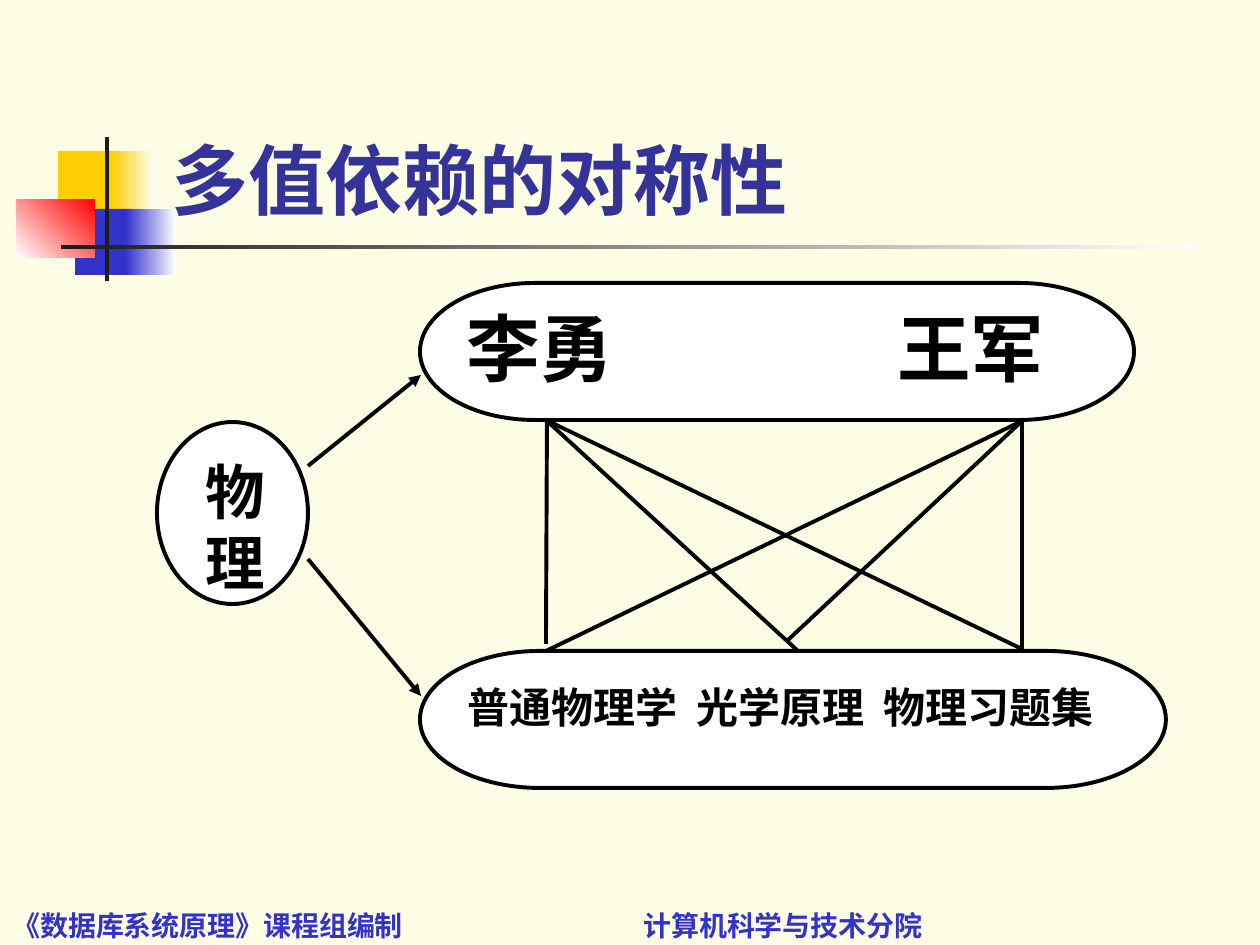
"""Build a slide on the symmetry of multivalued dependency."""
from lxml.etree import SubElement
from pptx import Presentation
from pptx.dml.color import RGBColor
from pptx.enum.shapes import MSO_CONNECTOR as CONN, MSO_SHAPE as SHAPE
from pptx.enum.text import MSO_ANCHOR as ANCHOR, MSO_AUTO_SIZE as AUTO, PP_ALIGN as ALIGN
from pptx.oxml.ns import qn
from pptx.util import Emu, Inches, Pt

rgb = RGBColor.from_string


def px(*values):
    return [Emu(round(v * Inches(1) / 126)) for v in values]


def write(tf, lines, color, fmt, frame, align=ALIGN.LEFT, tabs=(), indent=0):
    for name, value in frame.items():
        setattr(tf, name, value)
    for i, line in enumerate(lines):
        p = tf.add_paragraph() if i else tf.paragraphs[0]
        p.alignment = align
        pPr = p._p.get_or_add_pPr()
        if indent:
            pPr.set("marL", str(px(indent)[0]))
        if tabs:
            lst = SubElement(pPr, qn("a:tabLst"))
            for pos in px(*tabs):
                SubElement(lst, qn("a:tab"), pos=str(pos), algn="l")
        r = p.add_run()
        r.text = line
        for name, value in fmt.items():
            setattr(r.font, name, value)
        r.font.color.rgb = rgb(color)
        SubElement(r._r.get_or_add_rPr(), qn("a:ea"), typeface="Noto Sans CJK SC")


prs = Presentation()
prs.slide_width, prs.slide_height = px(1260, 945)
s = prs.slides.add_slide(prs.slide_layouts[5])
s.background.fill.solid()
s.background.fill.fore_color.rgb = rgb("FEFEE6")

decor = [
    ((58, 151, 60, 66), ["FFCF01"], 0),
    ((111, 151, 45, 66), ["FFCF01", "FFFFFF"], 0),
    ((75, 209, 58, 66), ["3333CC"], 0),
    ((126, 209, 50, 66), ["3333CC", "FFFFFF"], 0),
    ((17, 199, 78, 59), ["FFFFFF", "FF0000"], 45),
    ((105, 137, 4, 144), ["1C1C1C"], 0),
    ((61, 245, 1134, 4), ["1C1C1C", "FFFFFF"], 0),
]
for box, colors, angle in decor:
    sp = s.shapes.add_shape(SHAPE.RECTANGLE, *px(*box))
    sp.shadow.inherit = False
    sp.line.fill.background()
    if len(colors) == 1:
        sp.fill.solid()
        sp.fill.fore_color.rgb = rgb(colors[0])
    else:
        sp.fill.gradient()
        sp.fill.gradient_angle = angle
        for stop, color in zip(sp.fill.gradient_stops, colors):
            stop.color.rgb = rgb(color)

frame = {"word_wrap": True, "auto_size": AUTO.NONE, "vertical_anchor": ANCHOR.BOTTOM}
title = s.shapes.title
title.left, title.top, title.width, title.height = px(159, 29, 1073, 202)
write(title.text_frame, ["多值依赖的对称性"], "333399",
      {"size": Pt(44), "name": "Cabin", "bold": True}, frame)

footer = s.shapes.add_textbox(*px(0, 918, 1260, 30))
write(footer.text_frame, ["《数据库系统原理》课程组编制\t计算机科学与技术分院"], "3333CC",
      {"size": Pt(16), "name": "Noto Sans CJK SC", "bold": True}, frame, tabs=[631])

nodes = [
    (SHAPE.OVAL, (157, 422, 151, 182), ["物", "理"], 34, 6, [], 14),
    (SHAPE.FLOWCHART_TERMINATOR, (420, 651, 746, 137),
     ["普通物理学\t光学原理\t物理习题集"], 24, 10, [229, 416], 0),
    (SHAPE.FLOWCHART_TERMINATOR, (420, 283, 714, 137), ["李勇\t王军"], 42, 0, [431], 0),
]
for kind, box, lines, size, top, tabs, indent in nodes:
    sp = s.shapes.add_shape(kind, *px(*box))
    sp.shadow.inherit = False
    sp.fill.solid()
    sp.fill.fore_color.rgb = rgb("FFFFFF")
    sp.line.color.rgb = rgb("000000")
    sp.line.width = Pt(2.25)
    write(sp.text_frame, lines, "000000",
          {"size": Pt(size), "name": "Times New Roman", "bold": True},
          {**frame, "vertical_anchor": ANCHOR.TOP, "margin_top": px(top)[0]},
          ALIGN.JUSTIFY, tabs, indent)

links = [
    (308, 466, 421, 375, True),
    (308, 559, 421, 696, True),
    (547, 420, 546, 644, False),
    (546, 420, 798, 651, False),
    (546, 420, 1022, 649, False),
    (1022, 649, 1022, 421, False),
    (1022, 421, 788, 640, False),
    (546, 651, 1022, 421, False),
]
for *ends, arrow in links:
    c = s.shapes.add_connector(CONN.STRAIGHT, *px(*ends))
    c.line.color.rgb = rgb("000000")
    c.line.width = Pt(2.25)
    if arrow:
        SubElement(c.line._get_or_add_ln(), qn("a:tailEnd"), type="triangle")
    SubElement(c._element.spPr, qn("a:effectLst"))

prs.save("out.pptx")
